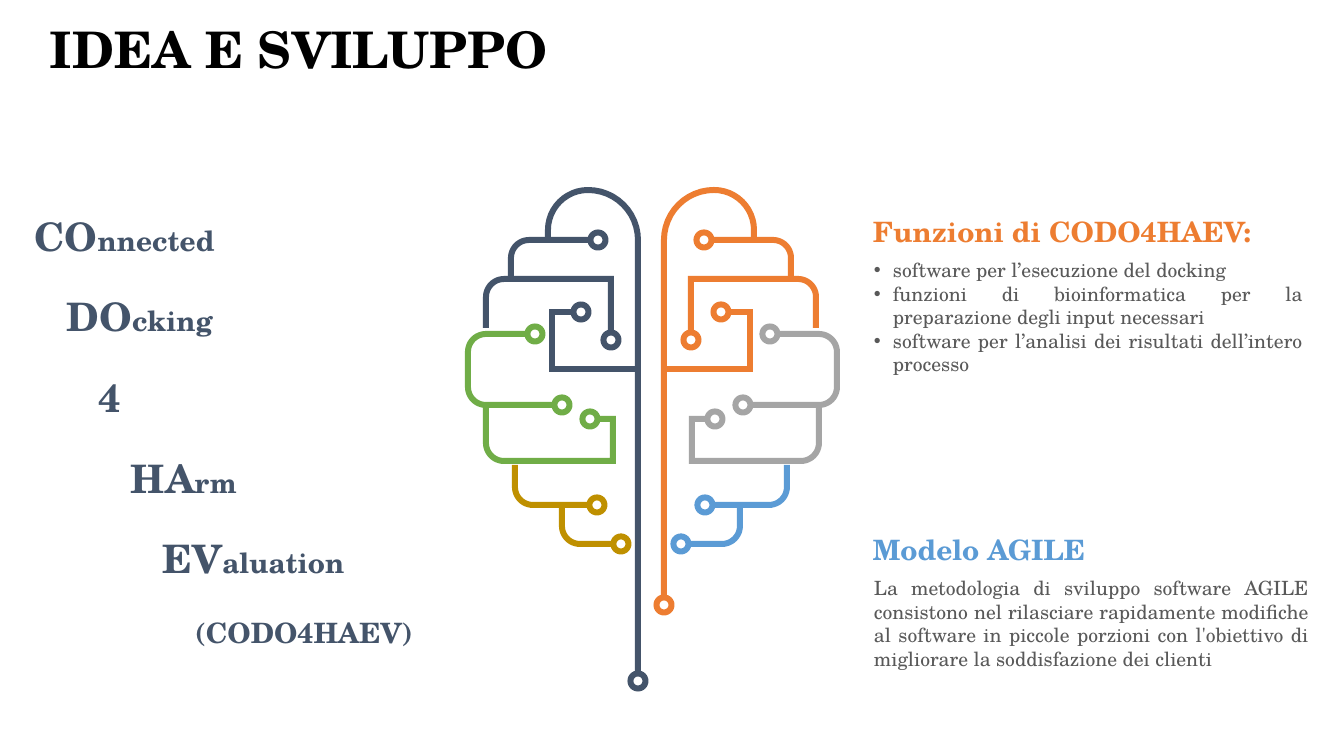
from math import cos, hypot, pi, sin

from lxml.etree import SubElement
from pptx import Presentation
from pptx.dml.color import RGBColor
from pptx.enum.text import MSO_ANCHOR as Anchor, PP_ALIGN as Align
from pptx.oxml.ns import qn
from pptx.util import Pt

PX = 914400 / 100.8
COLORS = {
    "title": "000000", "body": "595959", "navy": "44546A", "orange": "ED7D31",
    "gray": "A5A5A5", "blue": "5B9BD5", "green": "70AD47", "gold": "BF9000",
}
STROKE, RING, BEND, INDENT = 6, 7.5, 18, 19

UPPER_TRACKS = [
    [(590, 240), (511, 240, BEND), (511, 279)],
    [(486, 328), (486, 279, BEND), (611, 279), (611, 333)],
    [(574, 312), (552, 312), (552, 369), (638, 369)],
]
UPPER_RINGS = [(598, 240), (611, 340), (581, 312)]
MIDDLE_TRACKS = [
    [(528, 334), (468, 334, BEND), (468, 405, BEND), (555, 405)],
    [(486, 405), (486, 461, BEND), (613, 461), (613, 419), (597, 419)],
]
MIDDLE_RINGS = [(535, 334), (562, 405), (590, 419)]
LOWER_TRACKS = [
    [(515, 465), (515, 505, BEND), (590, 505)],
    [(562, 505), (562, 544, BEND), (613, 544)],
]
LOWER_RINGS = [(597, 505), (621, 544)]


def emu(px):
    """Turn px into EMU."""
    return round(px * PX)


def toward(start, end, distance):
    """Return the point at a distance from start on the way to end."""
    share = distance / hypot(end[0] - start[0], end[1] - start[1])
    return tuple(a + (b - a) * share for a, b in zip(start, end))


def round_track(track):
    """Return the points of a track with its square bends rounded."""
    points = [track[0]]
    for before, bend, after in zip(track, track[1:], track[2:]):
        if len(bend) == 2:
            points.append(bend)
            continue
        x, y, radius = bend
        entry = toward((x, y), before, radius)
        leave = toward((x, y), after, radius)
        center = (entry[0] + leave[0] - x, entry[1] + leave[1] - y)
        for step in range(13):
            angle = step * pi / 24
            points.append(tuple(
                c + (a - c) * cos(angle) + (b - c) * sin(angle)
                for c, a, b in zip(center, entry, leave)))
    return points + [track[-1]]


def ring_points(center):
    """Return the points of a ring around a center."""
    return [(center[0] + RING * cos(step * pi / 16),
             center[1] + RING * sin(step * pi / 16)) for step in range(32)]


class Slide:
    """Hold the style and the current page."""

    def __init__(self, page, face):
        """Keep the page and its typeface."""
        self.page = page
        self.face = face

    def text(self, at, lines, size, color, bold=False, anchor=Anchor.TOP,
             align=Align.LEFT, spacing=None, bullet=False, step=0, gap=0):
        """Add a text box whose lines are strings or lists of sized spans."""
        box = self.page.shapes.add_textbox(*map(emu, at))
        frame = box.text_frame
        frame.word_wrap = True
        frame.vertical_anchor = anchor
        frame.margin_left = frame.margin_right = 0
        frame.margin_top = frame.margin_bottom = emu(5)
        for index, line in enumerate(lines):
            para = frame.paragraphs[0] if index == 0 else frame.add_paragraph()
            properties = para._p.get_or_add_pPr()
            if step:
                properties.set("marL", str(emu(step * index)))
            if bullet:
                properties.set("marL", str(emu(INDENT)))
                properties.set("indent", str(emu(-INDENT)))
                SubElement(properties, qn("a:buFont"), typeface="Arial")
                SubElement(properties, qn("a:buChar"), char="•")
            para.alignment = align
            if spacing:
                para.line_spacing = spacing
            if index and gap:
                para.space_before = Pt(gap)
            para.font.name = self.face
            para.font.size = Pt(size)
            para.font.bold = bold
            para.font.color.rgb = RGBColor.from_string(COLORS[color])
            if isinstance(line, str):
                para.add_run().text = line
                continue
            for words, span_size in line:
                span = para.add_run()
                span.text = words
                span.font.size = Pt(span_size)

    def circuit(self, color, tracks, rings, axis=None):
        """Add the tracks and rings of one region, mirrored about an axis sum."""
        contours = [(round_track(track), False) for track in tracks]
        contours += [(ring_points(center), True) for center in rings]
        builder = None
        for points, closed in contours:
            places = [(emu(axis - x if axis else x), emu(y)) for x, y in points]
            if builder is None:
                builder = self.page.shapes.build_freeform(*places[0])
            else:
                builder.move_to(*places[0])
            builder.add_line_segments(places[1:], close=closed)
        shape = builder.convert_to_shape()
        shape.shadow.inherit = False
        shape.fill.background()
        shape.line.width = emu(STROKE)
        shape.line.color.rgb = RGBColor.from_string(COLORS[color])
        SubElement(shape.line._get_or_add_ln(), qn("a:miter"), lim="800000")


def stem(foot):
    """Return the arched track that runs down to a foot ring."""
    return [(548, 240), (548, 190, 40), (638, 190, 50), (638, foot - 7)]


def main():
    """Build the slide and save it."""
    deck = Presentation()
    deck.slide_width, deck.slide_height = emu(1344), emu(756)
    page = deck.slides.add_slide(deck.slide_layouts[6])
    slide = Slide(page, "TeX Gyre Schola")

    slide.text((50, 20, 928, 82), ["IDEA E SVILUPPO"], 36, "title",
               bold=True, spacing=0.9)

    slide.circuit("orange", [stem(605)] + UPPER_TRACKS,
                  [(638, 605)] + UPPER_RINGS, axis=1302)
    slide.circuit("gray", MIDDLE_TRACKS, MIDDLE_RINGS, axis=1305)
    slide.circuit("blue", LOWER_TRACKS, LOWER_RINGS, axis=1302)
    slide.circuit("navy", [stem(681)] + UPPER_TRACKS,
                  [(638, 681)] + UPPER_RINGS)
    slide.circuit("green", MIDDLE_TRACKS, MIDDLE_RINGS)
    slide.circuit("gold", LOWER_TRACKS, LOWER_RINGS)

    slide.text((873, 527, 436, 44), ["Modelo AGILE"], 20, "blue",
               bold=True, anchor=Anchor.BOTTOM)
    slide.text((874, 571, 435, 105), [
        "La metodologia di sviluppo software AGILE consistono nel rilasciare "
        "rapidamente modifiche al software in piccole porzioni con l'obiettivo "
        "di migliorare la soddisfazione dei clienti",
    ], 14, "body", align=Align.JUSTIFY)
    slide.text((873, 209, 429, 44), ["Funzioni di CODO4HAEV:"], 20, "orange",
               bold=True, anchor=Anchor.BOTTOM)
    slide.text((874, 253, 429, 129), [
        "software per l’esecuzione del docking",
        "funzioni di bioinformatica per la preparazione degli input necessari",
        "software per l’analisi dei risultati dell’intero processo",
    ], 14, "body", align=Align.JUSTIFY, bullet=True)

    acronym = [("CO", "nnected"), ("DO", "cking"), ("4", ""), ("HA", "rm"),
               ("EV", "aluation")]
    lines = [[(words, size) for words, size in zip(pair, (28, 20)) if words]
             for pair in acronym]
    slide.text((35, 202, 394, 452), lines + ["(CODO4HAEV)"], 20, "navy",
               bold=True, anchor=Anchor.BOTTOM, step=32, gap=24)
    deck.save("out.pptx")


if __name__ == "__main__":
    main()
